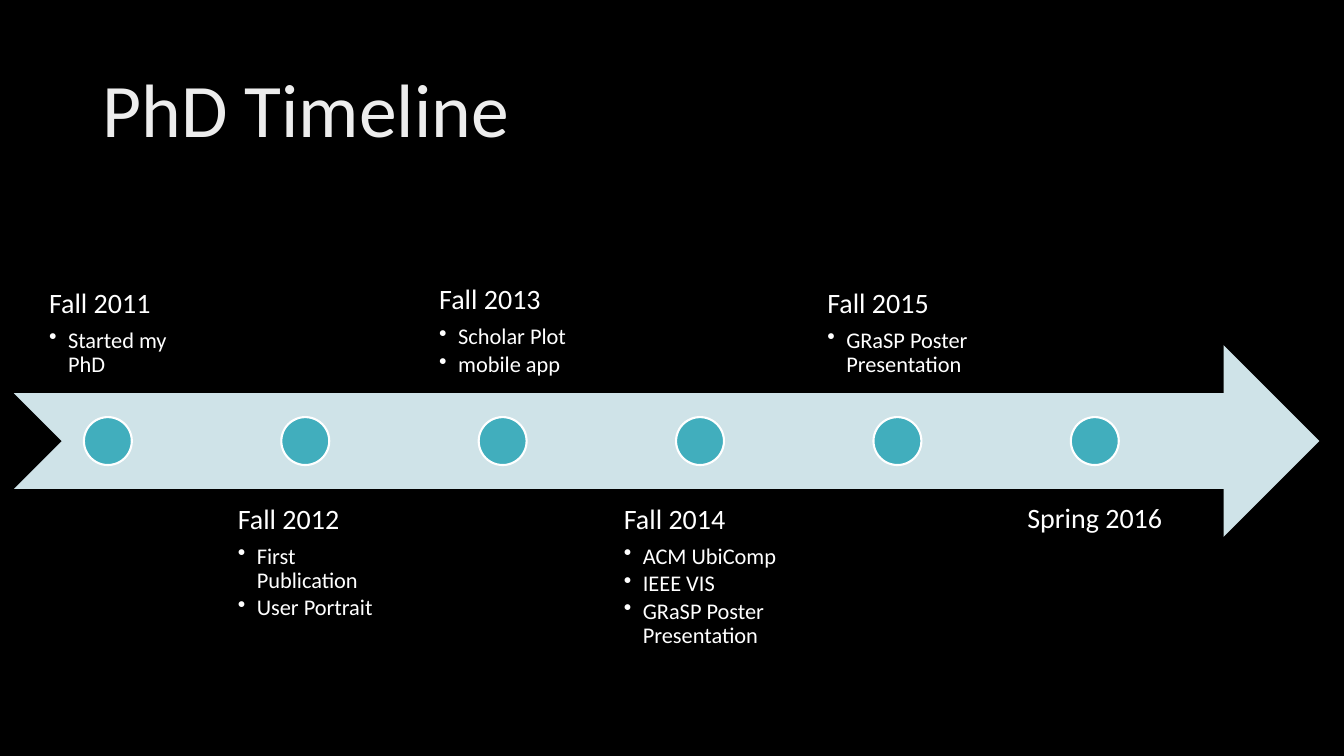
import lxml.etree
import pptx
import pptx.dml.color
import pptx.enum.shapes
import pptx.enum.text
import pptx.oxml.ns
import pptx.util

Cm = pptx.util.Cm
Pt = pptx.util.Pt
SHAPE = pptx.enum.shapes.MSO_SHAPE
ANCHOR = pptx.enum.text.MSO_ANCHOR
ALIGN = pptx.enum.text.PP_ALIGN

COLOURS = {
    "background": "000000",
    "title": "EDEDED",
    "text": "FFFFFF",
    "arrow": "CFE3E8",
    "dot": "41AEBD",
}
FONT = "Calibri"
MILESTONES = [
    ("Fall 2011", ["Started my PhD"]),
    ("Fall 2012", ["First Publication", "User Portrait"]),
    ("Fall 2013", ["Scholar Plot", "mobile app"]),
    ("Fall 2014", ["ACM UbiComp", "IEEE VIS", "GRaSP Poster Presentation"]),
    ("Fall 2015", ["GRaSP Poster Presentation"]),
    ("Spring 2016", []),
]


def colour(name):
    return pptx.dml.color.RGBColor.from_string(COLOURS[name])


def add_span(para, text, size, colour_name):
    para.alignment = ALIGN.LEFT
    para.line_spacing = 0.9
    span = para.add_run()
    span.text = text
    span.font.name = FONT
    span.font.size = Pt(size)
    span.font.color.rgb = colour(colour_name)


def add_bullet(para):
    properties = para._p.get_or_add_pPr()
    properties.set("marL", str(Cm(0.48)))
    properties.set("indent", str(-Cm(0.48)))
    bullet = lxml.etree.SubElement(properties, pptx.oxml.ns.qn("a:buChar"))
    bullet.set("char", "•")


def place_title(page, left, top, width, height):
    title = page.shapes.title
    title.left, title.top, title.width, title.height = left, top, width, height
    frame = title.text_frame
    frame.word_wrap = True
    frame.auto_size = pptx.enum.text.MSO_AUTO_SIZE.NONE
    frame.vertical_anchor = ANCHOR.MIDDLE
    add_span(frame.paragraphs[0], "PhD Timeline", 54, "title")


def add_filled_shape(group, kind, left, top, width, height, fill):
    shape = group.shapes.add_shape(kind, left, top, width, height)
    shape.shadow.inherit = False
    shape.fill.solid()
    shape.fill.fore_color.rgb = colour(fill)
    shape.line.fill.background()
    return shape


def add_milestone(group, left, top, width, height, anchor, date, events):
    box = group.shapes.add_textbox(left, top, width, height)
    frame = box.text_frame
    frame.word_wrap = True
    frame.vertical_anchor = anchor
    frame._txBody.bodyPr.set("anchorCtr", "1")
    frame.margin_left = frame.margin_right = Cm(0.4)
    frame.margin_top = frame.margin_bottom = Cm(0.4)
    heading = frame.paragraphs[0]
    add_span(heading, date, 20, "text")
    heading.space_after = Pt(7)
    for event in events:
        para = frame.add_paragraph()
        add_span(para, event, 16, "text")
        para.space_after = Pt(2.4)
        add_bullet(para)


def add_timeline(page, left, top, width, height):
    group = page.shapes.add_group_shape()
    add_filled_shape(group, SHAPE.NOTCHED_RIGHT_ARROW, left, top, width, height, "arrow")
    column = int(width * 0.9 / (len(MILESTONES) * 1.05 - 0.05))
    dot_size = height // 4
    for index, (date, events) in enumerate(MILESTONES):
        x = left + int(index * column * 1.05)
        if index % 2 == 0:
            y, anchor = top + height // 4 - height, ANCHOR.BOTTOM
        else:
            y, anchor = top + height * 3 // 4, ANCHOR.TOP
        add_milestone(group, x, y, column, height, anchor, date, events)
        dot = add_filled_shape(
            group,
            SHAPE.OVAL,
            x + (column - dot_size) // 2,
            top + (height - dot_size) // 2,
            dot_size,
            dot_size,
            "dot",
        )
        dot.line.color.rgb = colour("text")
        dot.line.width = Pt(1.5)


def main():
    deck = pptx.Presentation()
    deck.slide_width = Cm(33.87)
    deck.slide_height = Cm(19.05)
    page = deck.slides.add_slide(deck.slide_layouts[5])
    page.background.fill.solid()
    page.background.fill.fore_color.rgb = colour("background")
    place_title(page, Cm(2.33), Cm(1.01), Cm(29.21), Cm(3.68))
    add_timeline(page, Cm(0.35), Cm(8.7), Cm(32.9), Cm(4.83))
    deck.save("out.pptx")


if __name__ == "__main__":
    main()
